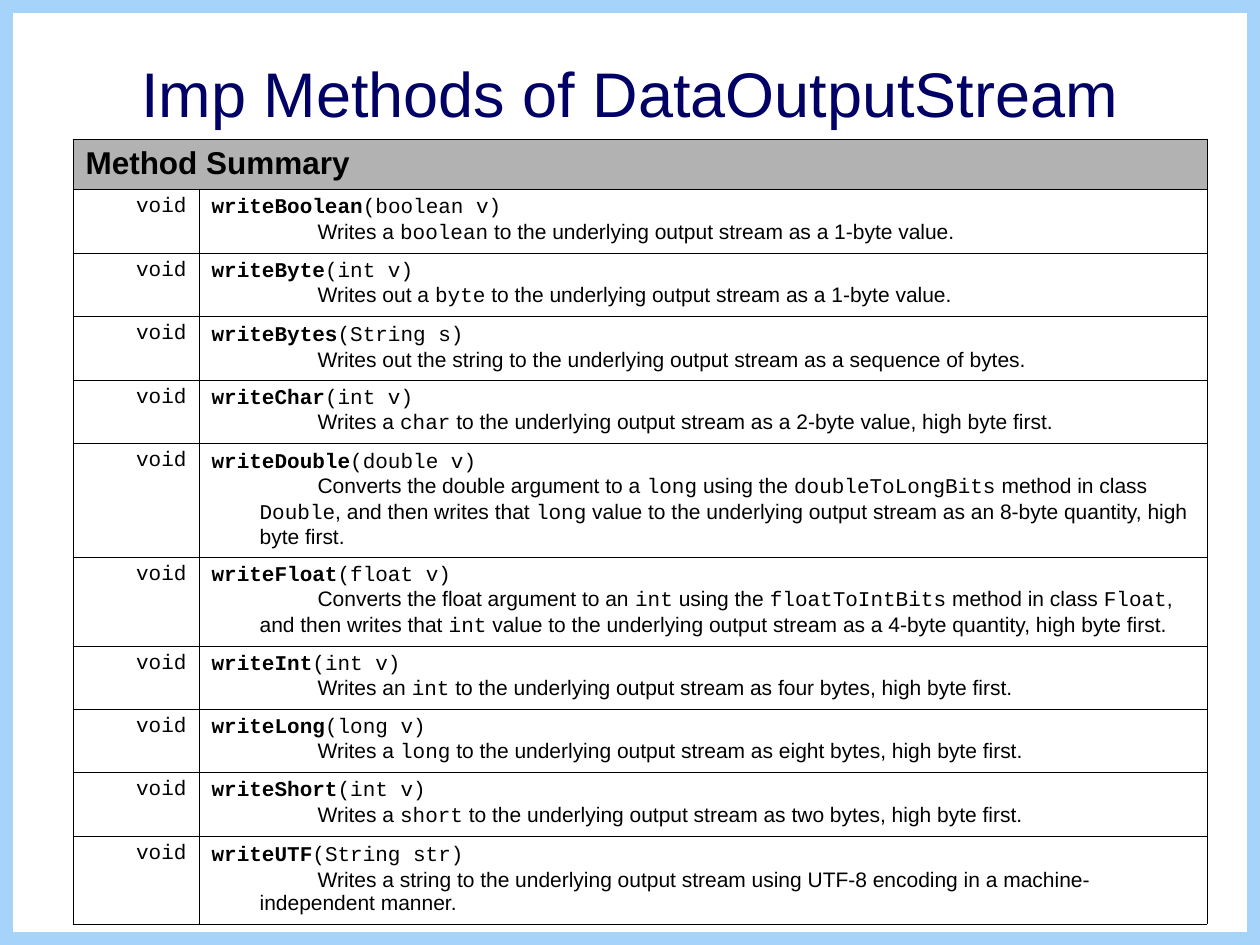
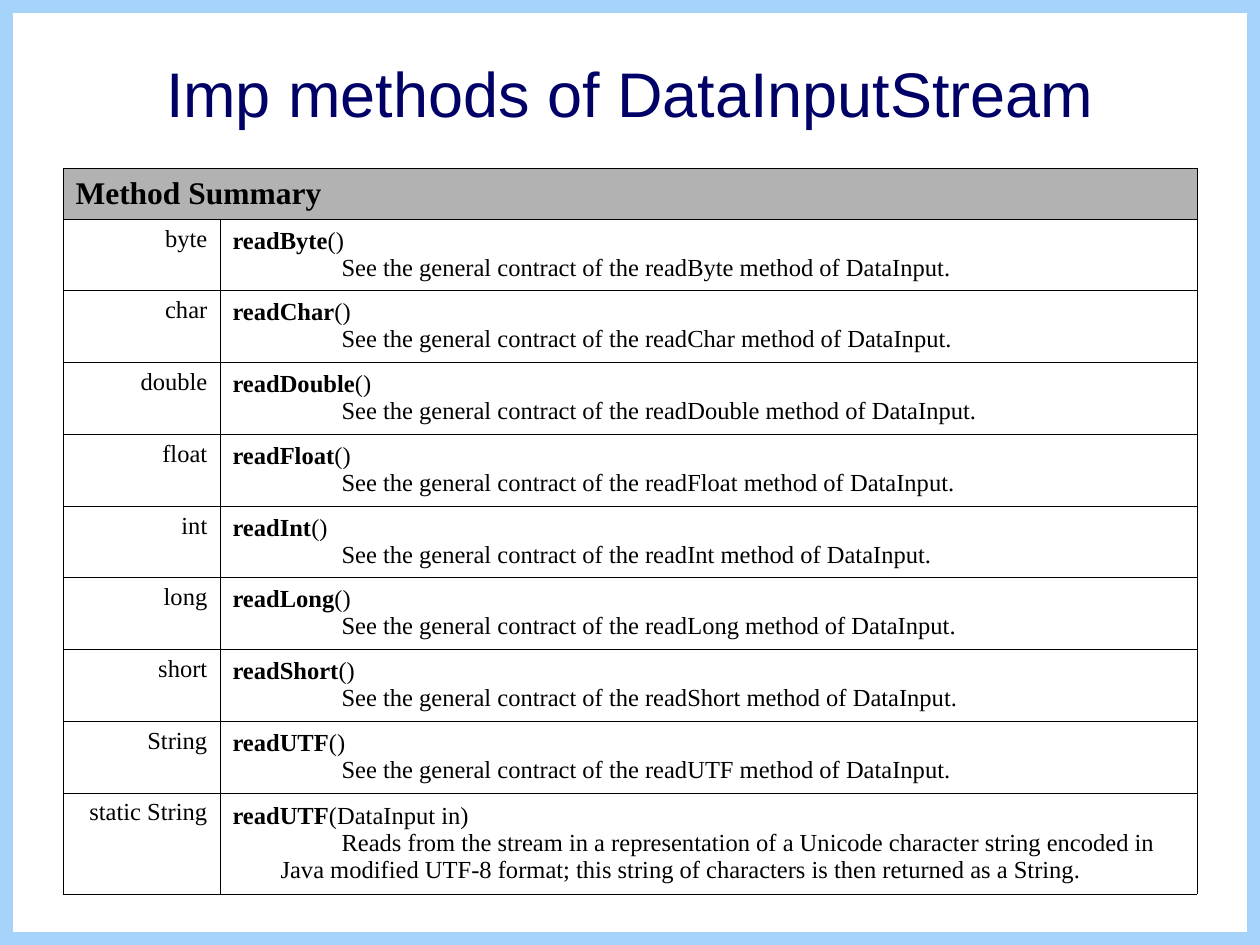
from lxml import etree
from pptx import Presentation
from pptx import util as u
from pptx.dml.color import RGBColor
from pptx.enum import shapes, text
from pptx.oxml.ns import qn

SCALE = u.Inches(1) / 126
PAGE = (0, 0, 1260, 945)
TITLE_BOX = (63, 37, 1134, 110)
INK, NAVY, SKY, GREY, WHITE = "000000", "000066", "A5D3F9", "B2B2B2", "FFFFFF"
SANS, MONO, SERIF = "Arial", "Courier New", "Times New Roman"
HANGING = 48
READ_TYPES = ("byte", "char", "double", "float", "int", "long", "short", "String")

OUTPUT_METHODS = [
    ("void", "writeBoolean(boolean v)", 64,
     "Writes a `boolean` to the underlying output stream as a 1-byte value."),
    ("void", "writeByte(int v)", 63,
     "Writes out a `byte` to the underlying output stream as a 1-byte value."),
    ("void", "writeBytes(String s)", 64,
     "Writes out the string to the underlying output stream as a sequence of bytes."),
    ("void", "writeChar(int v)", 63,
     "Writes a `char` to the underlying output stream as a 2-byte value, high byte first."),
    ("void", "writeDouble(double v)", 114,
     "Converts the double argument to a `long` using the `doubleToLongBits` method in class "
     "`Double`, and then writes that `long` value to the underlying output stream as an "
     "8-byte quantity, high byte first."),
    ("void", "writeFloat(float v)", 89,
     "Converts the float argument to an `int` using the `floatToIntBits` method in class "
     "`Float`, and then writes that `int` value to the underlying output stream as a "
     "4-byte quantity, high byte first."),
    ("void", "writeInt(int v)", 63,
     "Writes an `int` to the underlying output stream as four bytes, high byte first."),
    ("void", "writeLong(long v)", 63,
     "Writes a `long` to the underlying output stream as eight bytes, high byte first."),
    ("void", "writeShort(int v)", 64,
     "Writes a `short` to the underlying output stream as two bytes, high byte first."),
    ("void", "writeUTF(String str)", 88,
     "Writes a string to the underlying output stream using UTF-8 encoding in a "
     "machine-independent manner."),
]


def read_method(index, kind):
    name = "readUTF" if kind == "String" else "read" + kind.capitalize()
    return (kind, f"{name}()", 72 if index % 4 else 71,
            f"See the general contract of the {name} method of DataInput.")


INPUT_METHODS = [read_method(index, kind) for index, kind in enumerate(READ_TYPES)] + [
    ("static String", "readUTF(DataInput in)", 101,
     "Reads from the stream in a representation of a Unicode character string encoded in "
     "Java modified UTF-8 format; this string of characters is then returned as a String."),
]

OUTPUT_STYLE = dict(head=SANS, prose=SANS, code=MONO, size=12, first_line=58, border=0.45)
INPUT_STYLE = dict(head=SERIF, prose=SERIF, code=SERIF, size=14, first_line=61, border=0.34)


def px(length):
    return u.Emu(round(length * SCALE))


def colour(value):
    return RGBColor.from_string(value)


def apply(target, **values):
    for name, value in values.items():
        setattr(target, name, value)


def place(shape, box):
    apply(shape, **dict(zip(("left", "top", "width", "height"), map(px, box))))


def add_span(para, words, font, size, ink=INK, bold=False):
    span = para.add_run()
    span.text = words
    apply(span.font, name=font, size=u.Pt(size), bold=bold)
    span.font.color.rgb = colour(ink)


def indent(para, margin, first_line):
    props = para._p.get_or_add_pPr()
    props.set("marL", str(px(margin)))
    props.set("indent", str(px(first_line)))


def add_frame(page, box):
    frame = page.shapes.add_shape(shapes.MSO_SHAPE.RECTANGLE, *map(px, box))
    frame.shadow.inherit = False
    frame.fill.background()
    frame.line.color.rgb = colour(SKY)
    frame.line.width = u.Pt(15)
    page.shapes.element.insert(2, frame.element)


def add_title(page, words, box):
    title = page.shapes.title
    place(title, box)
    apply(title.text_frame, word_wrap=True, auto_size=text.MSO_AUTO_SIZE.NONE,
          vertical_anchor=text.MSO_ANCHOR.MIDDLE)
    para = title.text_frame.paragraphs[0]
    para.alignment = text.PP_ALIGN.CENTER
    add_span(para, words, SANS, 36, NAVY)


def format_cell(cell, fill, border):
    cell.fill.solid()
    cell.fill.fore_color.rgb = colour(fill)
    props = cell._tc.get_or_add_tcPr()
    for index, side in enumerate(("a:lnL", "a:lnR", "a:lnT", "a:lnB")):
        line = etree.Element(qn(side), w=str(u.Pt(border)))
        paint = etree.SubElement(line, qn("a:solidFill"))
        etree.SubElement(paint, qn("a:srgbClr"), val=INK)
        props.insert(index, line)


def fill_method(cells, method, style):
    kind, signature, _, description = method
    size, code = style["size"], style["code"]
    kind_cell, method_cell = cells

    para = kind_cell.text_frame.paragraphs[0]
    para.alignment = text.PP_ALIGN.RIGHT
    add_span(para, kind, code, size)

    method_cell.vertical_anchor = text.MSO_ANCHOR.MIDDLE
    para = method_cell.text_frame.paragraphs[0]
    indent(para, HANGING, -HANGING)
    name, bracket, arguments = signature.partition("(")
    add_span(para, name, code, size, bold=True)
    add_span(para, bracket + arguments, code, size)

    para = method_cell.text_frame.add_paragraph()
    indent(para, HANGING, style["first_line"])
    for index, words in enumerate(description.split("`")):
        if words:
            add_span(para, words, code if index % 2 else style["prose"], size)


def add_method_table(page, methods, box, kind_width, style):
    left, top, width, head_height = box
    heights = [head_height] + [method[2] for method in methods]
    frame = page.shapes.add_table(len(heights), 2,
                                  *map(px, (left, top, width, sum(heights))))
    table = frame.table
    apply(table, first_row=False, horz_banding=False)
    for column, size in zip(table.columns, (kind_width, width - kind_width)):
        column.width = px(size)
    for index, height in enumerate(heights):
        table.rows[index].height = px(height)
        for cell in table.rows[index].cells:
            format_cell(cell, WHITE if index else GREY, style["border"])

    head = table.cell(0, 0)
    head.merge(table.cell(0, 1))
    head.vertical_anchor = text.MSO_ANCHOR.MIDDLE
    add_span(head.text_frame.paragraphs[0], "Method Summary", style["head"], 18, bold=True)
    for index, method in enumerate(methods, 1):
        fill_method(table.rows[index].cells, method, style)


def add_method_page(deck, title, methods, box, kind_width, style):
    page = deck.slides.add_slide(deck.slide_layouts.get_by_name("Title Only"))
    add_frame(page, PAGE)
    add_title(page, title, TITLE_BOX)
    add_method_table(page, methods, box, kind_width, style)


def main():
    deck = Presentation()
    apply(deck, slide_width=px(PAGE[2]), slide_height=px(PAGE[3]))
    background = deck.slide_master.background.fill
    background.solid()
    background.fore_color.rgb = colour(WHITE)
    add_method_page(deck, "Imp Methods of DataOutputStream", OUTPUT_METHODS,
                    (73, 139, 1134, 50), 126, OUTPUT_STYLE)
    add_method_page(deck, "Imp methods of DataInputStream", INPUT_METHODS,
                    (63, 168, 1134, 51), 157, INPUT_STYLE)
    deck.save("out.pptx")


if __name__ == "__main__":
    main()
